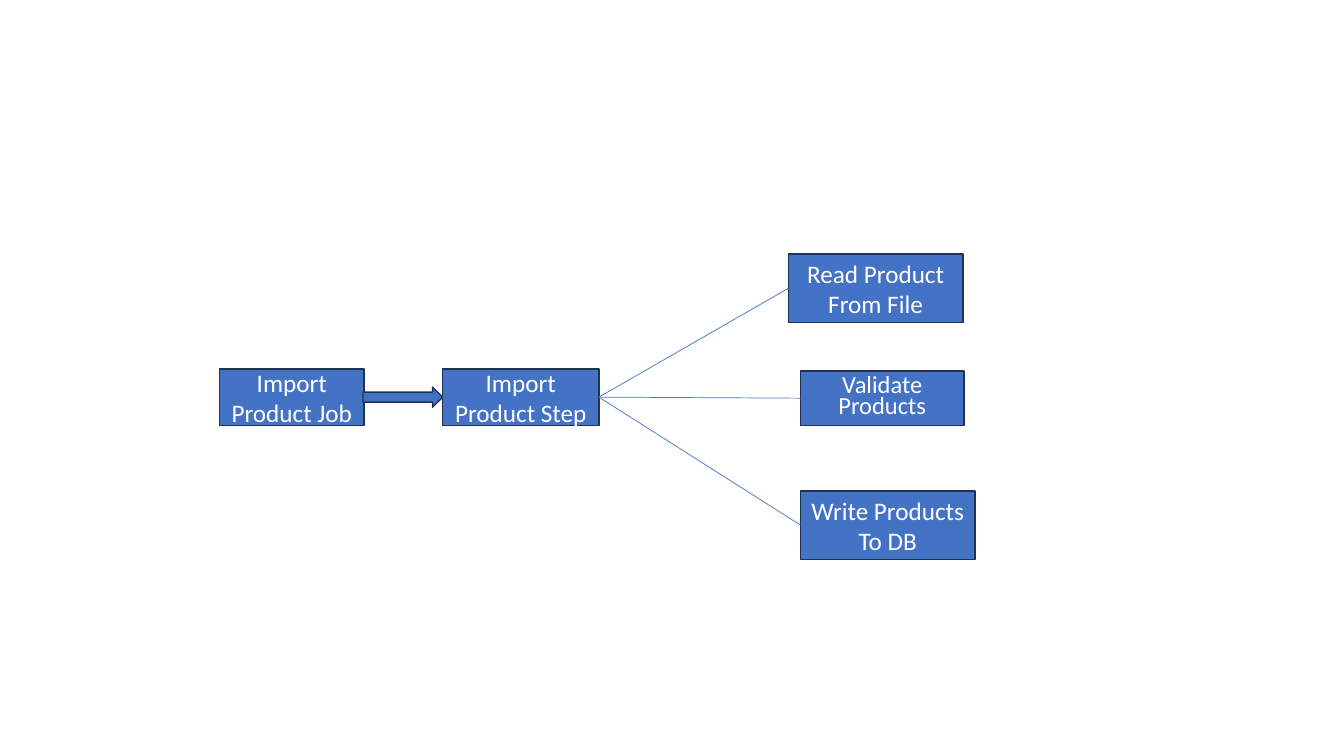
from dataclasses import dataclass

from lxml import etree
from pptx import Presentation
from pptx.dml.color import RGBColor
from pptx.enum.shapes import MSO_CONNECTOR, MSO_SHAPE
from pptx.enum.text import MSO_ANCHOR, PP_ALIGN
from pptx.oxml.ns import qn
from pptx.util import Inches, Pt


@dataclass(frozen=True)
class Theme:
    fill: RGBColor = RGBColor(0x44, 0x72, 0xC4)
    outline: RGBColor = RGBColor(0x1E, 0x32, 0x56)
    text: RGBColor = RGBColor(0xFF, 0xFF, 0xFF)
    font: str = "Calibri"
    text_size: float = 18
    compact_size: float = 17.5
    compact_spacing: float = 0.7
    outline_width: float = 1
    branch_width: float = 0.5


THEME = Theme()

# Connection sites of a rectangle
LEFT_SITE, RIGHT_SITE = 1, 3


def add_block(slide, preset, left, top, width, height):
    """Add a filled and outlined preset shape."""
    shape = slide.shapes.add_shape(
        preset, Inches(left), Inches(top), Inches(width), Inches(height)
    )
    shape.shadow.inherit = False
    shape.fill.solid()
    shape.fill.fore_color.rgb = THEME.fill
    shape.line.color.rgb = THEME.outline
    shape.line.width = Pt(THEME.outline_width)
    return shape


def add_box(slide, text, left, top, width, height,
            size=THEME.text_size, line_spacing=None):
    """Add a rectangle with a centred label."""
    box = add_block(slide, MSO_SHAPE.RECTANGLE, left, top, width, height)
    frame = box.text_frame
    frame.text = text
    frame.word_wrap = True
    frame.vertical_anchor = MSO_ANCHOR.MIDDLE
    paragraph = frame.paragraphs[0]
    paragraph.alignment = PP_ALIGN.CENTER
    paragraph.line_spacing = line_spacing
    font = paragraph.runs[0].font
    font.name = THEME.font
    font.size = Pt(size)
    font.color.rgb = THEME.text
    return box


def add_branch(slide, source, target):
    """Join the right side of one box to the left side of another."""
    branch = slide.shapes.add_connector(MSO_CONNECTOR.STRAIGHT, 0, 0, 0, 0)
    branch.begin_connect(source, RIGHT_SITE)
    branch.end_connect(target, LEFT_SITE)
    branch.line.color.rgb = THEME.fill
    branch.line.width = Pt(THEME.branch_width)
    etree.SubElement(branch._element.spPr, qn("a:effectLst"))


def main():
    presentation = Presentation()
    presentation.slide_width = Inches(13.33)
    presentation.slide_height = Inches(7.5)
    slide = presentation.slides.add_slide(presentation.slide_layouts[6])

    # Job leading to its step
    add_box(slide, "Import Product Job", 2.18, 3.66, 1.43, 0.56)
    add_block(slide, MSO_SHAPE.RIGHT_ARROW, 3.6, 3.84, 0.79, 0.2)
    step = add_box(slide, "Import Product Step", 4.39, 3.66, 1.55, 0.56)

    # Tasks of the step
    tasks = [
        add_box(slide, "Read Product From File", 7.82, 2.52, 1.73, 0.68),
        add_box(slide, "Validate Products", 7.94, 3.68, 1.62, 0.54,
                THEME.compact_size, THEME.compact_spacing),
        add_box(slide, "Write Products To DB", 7.94, 4.87, 1.73, 0.68),
    ]
    for task in tasks:
        add_branch(slide, step, task)

    presentation.save("out.pptx")


if __name__ == "__main__":
    main()
